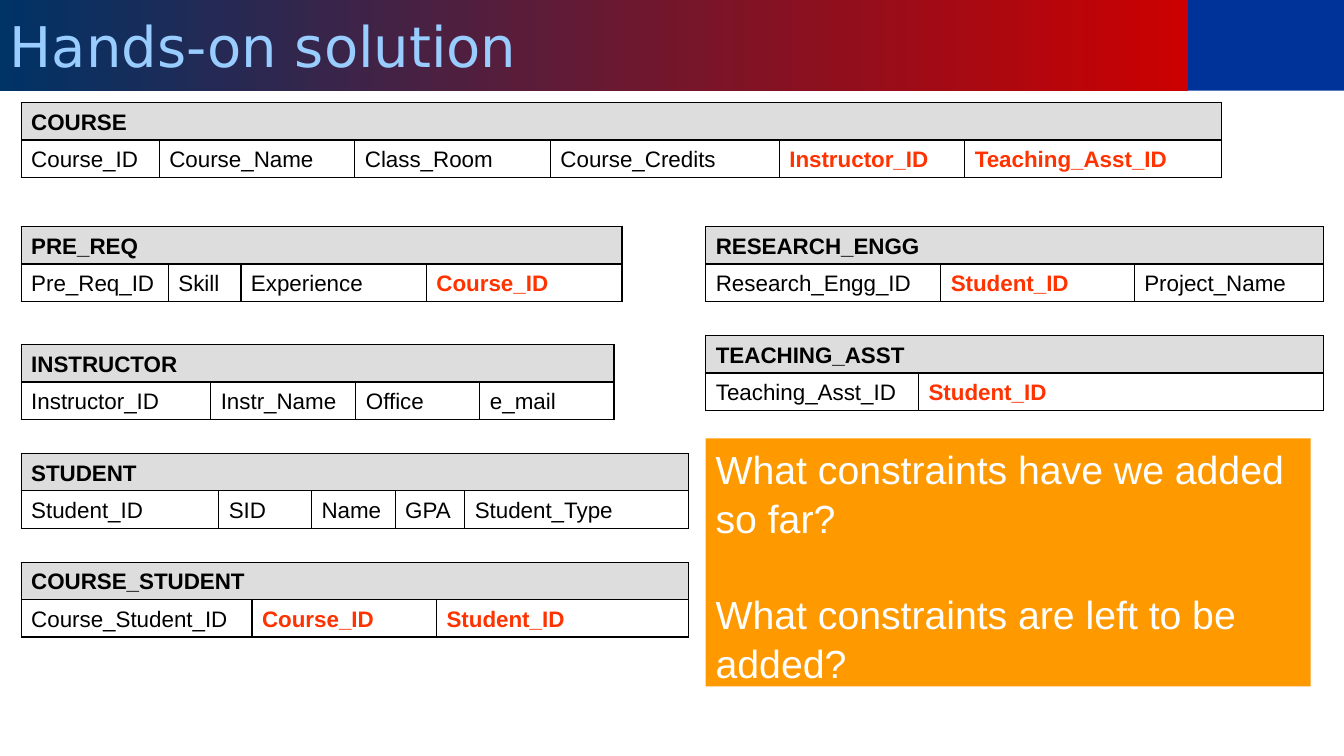
from lxml import etree
from pptx import Presentation
from pptx import util as u
from pptx.dml.color import RGBColor
from pptx.enum import shapes, text
from pptx.oxml.ns import qn

PX = 9144
BLACK = RGBColor(0x00, 0x00, 0x00)
WHITE = RGBColor(0xFF, 0xFF, 0xFF)
GREY = RGBColor(0xDD, 0xDD, 0xDD)
RED = RGBColor(0xFF, 0x33, 0x00)
BLUE = RGBColor(0x00, 0x33, 0x99)
NAVY = RGBColor(0x00, 0x33, 0x66)
CRIMSON = RGBColor(0xCC, 0x00, 0x00)
SKY = RGBColor(0x99, 0xCC, 0xFF)
ORANGE = RGBColor(0xFF, 0x99, 0x00)
ROW = 37
LEFT, RIGHT = 21, 700

TABLES = [
    ("COURSE", LEFT, 102, [("Course_ID", 137), ("Course_Name", 194), ("Class_Room", 194),
                           ("Course_Credits", 227), ("Instructor_ID", 184),
                           ("Teaching_Asst_ID", 255)]),
    ("PRE_REQ", LEFT, 225, [("Pre_Req_ID", 146), ("Skill", 72), ("Experience", 184),
                            ("Course_ID", 194)]),
    ("INSTRUCTOR", LEFT, 342, [("Instructor_ID", 188), ("Instr_Name", 144), ("Office", 123),
                               ("e_mail", 133)]),
    ("STUDENT", LEFT, 450, [("Student_ID", 196), ("SID", 92), ("Name", 83), ("GPA", 69),
                            ("Student_Type", 222)]),
    ("TEACHING_ASST", RIGHT, 333, [("Teaching_Asst_ID", 211), ("Student_ID", 402)]),
    ("RESEARCH_ENGG", RIGHT, 225, [("Research_Engg_ID", 233), ("Student_ID", 192),
                                   ("Project_Name", 188)]),
    ("COURSE_STUDENT", LEFT, 558, [("Course_Student_ID", 229), ("Course_ID", 183),
                                   ("Student_ID", 250)]),
]


def px(n):
    return u.Emu(n * PX)


def add_run(para, words, size, color, bold=False, face="Arial"):
    run = para.add_run()
    run.text = words
    font = run.font
    font.name, font.size, font.bold = face, u.Pt(size), bold
    font.color.rgb = color


def add_rect(slide, x, y, w, h, color=None):
    rect = slide.shapes.add_shape(shapes.MSO_SHAPE.RECTANGLE, px(x), px(y), px(w), px(h))
    rect.shadow.inherit = False
    rect.line.fill.background()
    if color is not None:
        rect.fill.solid()
        rect.fill.fore_color.rgb = color
    rect.text_frame.word_wrap = True
    return rect


def add_title(slide, words):
    bar = add_rect(slide, 0, 0, 1178, 90)
    bar.fill.gradient()
    bar.fill.gradient_angle = 0
    for stop, color in zip(bar.fill.gradient_stops, (NAVY, CRIMSON)):
        stop.color.rgb = color
    para = bar.text_frame.paragraphs[0]
    para.alignment = text.PP_ALIGN.LEFT
    add_run(para, words, 40, SKY, face="DejaVu Sans")


def add_note(slide, lines):
    frame = add_rect(slide, RIGHT, 435, 600, 246, ORANGE).text_frame
    frame.vertical_anchor = text.MSO_ANCHOR.TOP
    for i, line in enumerate(lines):
        para = frame.add_paragraph() if i else frame.paragraphs[0]
        para.alignment = text.PP_ALIGN.LEFT
        para.line_spacing = 1.04
        para.space_before = u.Pt(33.5 if i else 0)
        add_run(para, line, 28, WHITE)


def add_edges(cell):
    props = cell._tc.get_or_add_tcPr()
    for side in ("a:lnL", "a:lnR", "a:lnT", "a:lnB"):
        edge = etree.SubElement(props, qn(side), w=str(u.Pt(1)))
        fill = etree.SubElement(edge, qn("a:solidFill"))
        etree.SubElement(fill, qn("a:srgbClr"), val=str(BLACK))


def set_cell(cell, words, color, bold):
    cell.vertical_anchor = text.MSO_ANCHOR.BOTTOM
    add_run(cell.text_frame.paragraphs[0], words, 16, color, bold)


def add_schema(slide, name, x, y, fields):
    width = sum(w for _, w in fields)
    frame = slide.shapes.add_table(2, len(fields), px(x), px(y), px(width), px(2 * ROW))
    table = frame.table
    table.first_row = table.horz_banding = False
    for row in table.rows:
        row.height = px(ROW)
    for i, (field, w) in enumerate(fields):
        table.columns[i].width = px(w)
        head, cell = table.cell(0, i), table.cell(1, i)
        add_edges(head)
        head.fill.solid()
        head.fill.fore_color.rgb = GREY
        add_edges(cell)
        cell.fill.background()
        foreign = i > 0 and field.endswith("_ID")
        set_cell(cell, field, RED if foreign else BLACK, foreign)
    table.cell(0, 0).merge(table.cell(0, len(fields) - 1))
    set_cell(table.cell(0, 0), name, BLACK, True)


def main():
    deck = Presentation()
    deck.slide_width, deck.slide_height = px(1333), px(750)
    slide = deck.slides.add_slide(deck.slide_layouts[6])
    add_rect(slide, 1178, 0, 155, 90, BLUE)
    add_title(slide, "Hands-on solution")
    for name, x, y, fields in TABLES:
        add_schema(slide, name, x, y, fields)
    add_note(slide, ["What constraints have we added so far?",
                     "What constraints are left to be added?"])
    deck.save("out.pptx")


if __name__ == "__main__":
    main()
